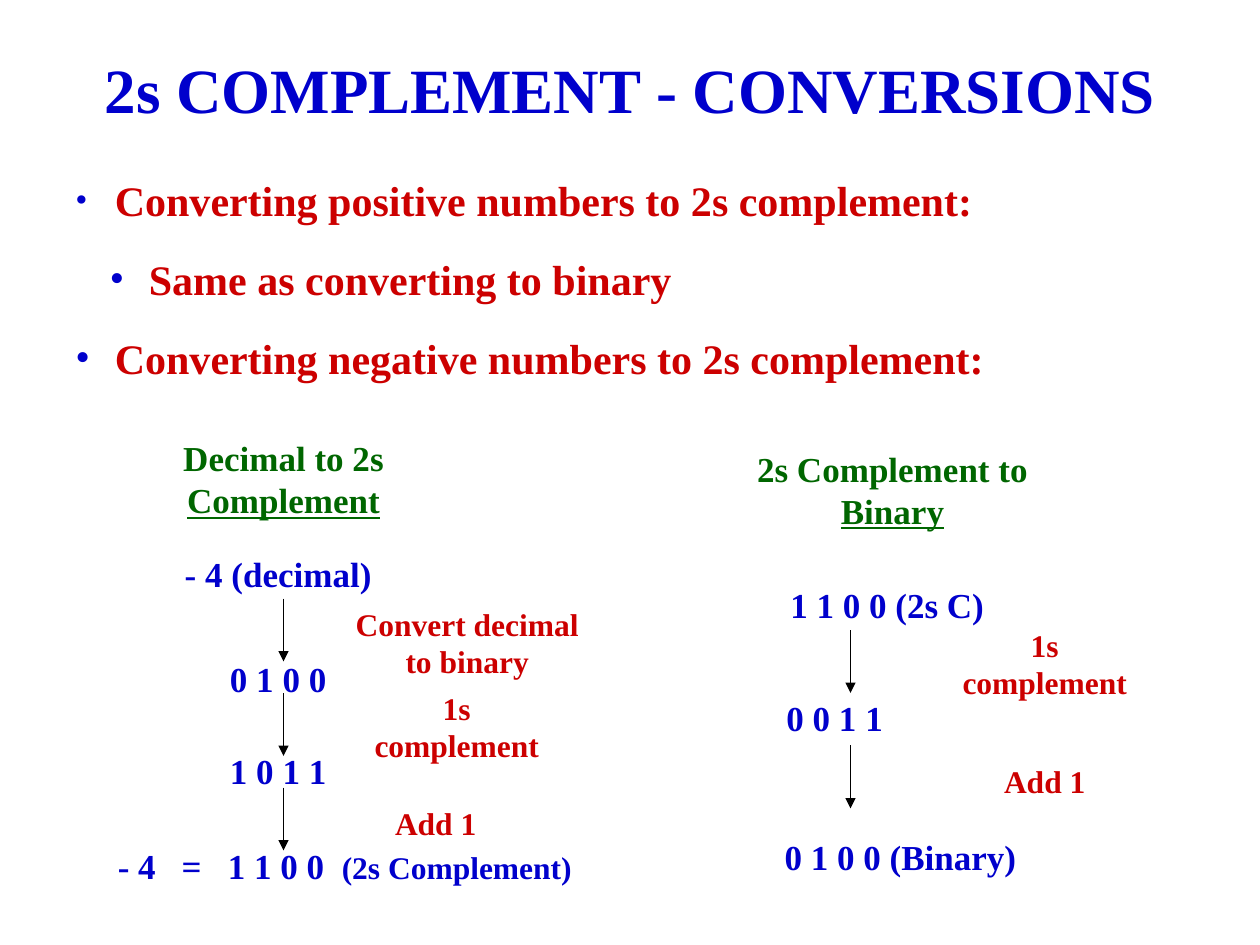
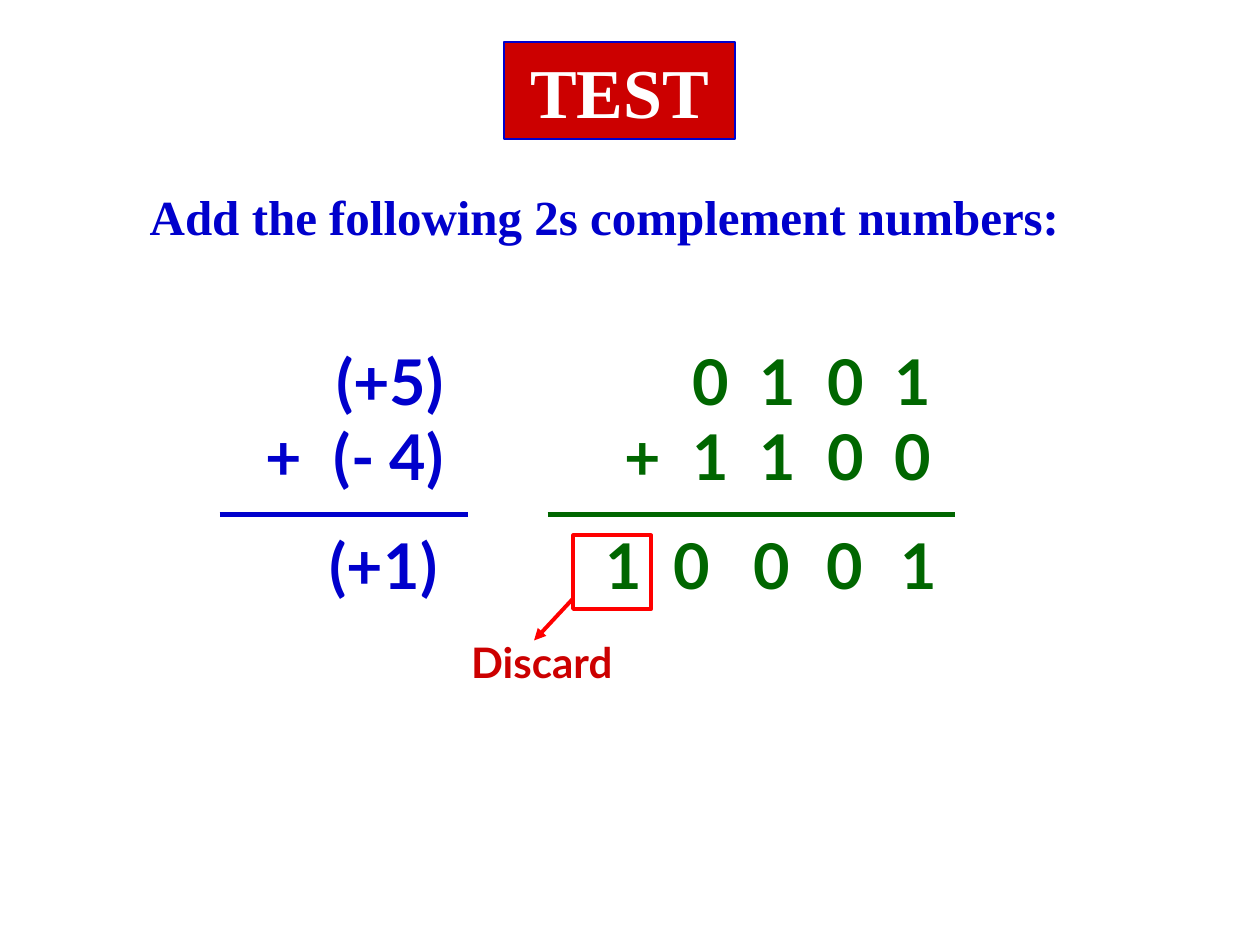
import pptx
import pptx.dml.color
import pptx.enum.shapes
import pptx.enum.text
import pptx.oxml
import pptx.oxml.ns
import pptx.util
from lxml import etree

Pt = pptx.util.Pt
Align = pptx.enum.text.PP_ALIGN
LEFT, MID, RIGHT = Align.LEFT, Align.CENTER, Align.RIGHT

BLUE, RED, GREEN = "0000CC", "CC0000", "006600"
WHITE, BLACK, BRIGHT = "FFFFFF", "000000", "FF0000"
SERIF, SANS = "Times New Roman", "Lato"


def rgb(code):
    return pptx.dml.color.RGBColor.from_string(code)


def child(parent, tag, **attrs):
    """Append a drawing element to parent."""
    node = etree.SubElement(parent, pptx.oxml.ns.qn(tag))
    for key, value in attrs.items():
        node.set(key, str(value))
    return node


class Deck:
    def __init__(self):
        self.file = pptx.Presentation()
        self.file.slide_width = Pt(720)
        self.file.slide_height = Pt(540)
        self.slide = None

    def page(self, title, box, size, color=BLUE):
        """Start a slide and return its formatted title."""
        self.slide = self.file.slides.add_slide(self.file.slide_layouts[5])
        head = self.slide.shapes.title
        head.left, head.top, head.width, head.height = map(Pt, box)
        self.fill(head, [title], size, color, MID, SERIF)
        return head

    def fill(self, shape, lines, size, color, align, font):
        """Write lines; each is a string or a list of (text, changes)."""
        frame = shape.text_frame
        frame.word_wrap = True
        frame.auto_size = pptx.enum.text.MSO_AUTO_SIZE.NONE
        frame.vertical_anchor = pptx.enum.text.MSO_ANCHOR.TOP
        for i, line in enumerate(lines):
            para = frame.add_paragraph() if i else frame.paragraphs[0]
            para.alignment = align
            for text, extra in [(line, {})] if isinstance(line, str) else line:
                run = para.add_run()
                run.text = text
                run.font.name = font
                run.font.size = Pt(extra.get("size", size))
                run.font.bold = True
                run.font.underline = extra.get("under")
                run.font.color.rgb = rgb(color)

    def text(self, box, lines, size=20, color=BLUE, align=MID, font=SERIF):
        shape = self.slide.shapes.add_textbox(*map(Pt, box))
        self.fill(shape, lines, size, color, align, font)
        return shape.text_frame.paragraphs

    def tabs(self, paras, kind, stops):
        for para in paras:
            group = child(para._p.get_or_add_pPr(), "a:tabLst")
            for stop in stops:
                child(group, "a:tab", pos=Pt(stop), algn=kind)

    def bullets(self, box, items, size=24):
        """List (text, level, bullet percent) items."""
        paras = self.text(box, [item[0] for item in items], size, RED, LEFT)
        for para, (_, level, scale) in zip(paras, items):
            para.level = level
            para.space_after = Pt(16.5)
            props = para._p.get_or_add_pPr()
            props.set("marL", str(Pt(22.5 + 19.5 * level)))
            props.set("indent", str(Pt(-22.5)))
            child(child(props, "a:buClr"), "a:srgbClr", val=BLUE)
            child(props, "a:buSzPct", val=scale * 1000)
            child(props, "a:buFont", typeface=SERIF)
            child(props, "a:buChar", char="•")

    def line(self, start, end, color, width, arrow=False):
        link = self.slide.shapes.add_connector(
            pptx.enum.shapes.MSO_CONNECTOR.STRAIGHT, *map(Pt, start + end))
        link.line.color.rgb = rgb(color)
        link.line.width = Pt(width)
        if arrow:
            child(link.line._get_or_add_ln(), "a:tailEnd", type="triangle")
        child(link._element.spPr, "a:effectLst")

    def frame(self, box, color, width):
        shape = self.slide.shapes.add_shape(
            pptx.enum.shapes.MSO_SHAPE.RECTANGLE, *map(Pt, box))
        shape.shadow.inherit = False
        shape.fill.background()
        shape.line.color.rgb = rgb(color)
        shape.line.width = Pt(width)


def convert(deck):
    deck.page("2s COMPLEMENT - CONVERSIONS", (0, 25, 720, 50.4), 36)
    deck.bullets((36, 96, 630, 126.7), [
        ("Converting positive numbers to 2s complement:", 0, 83),
        ("Same as converting to binary", 1, 100),
        ("Converting negative numbers to 2s complement:", 0, 100)])

    under = {"under": True}
    deck.text((60, 246, 204, 55.4),
              [[("Decimal to 2s ", {}), ("Complement", under)]], color=GREEN)
    deck.text((408, 252, 204, 55.4),
              ["2s Complement to", [("Binary", under)]], color=GREEN)

    for x, y, value in [(90, 312, "- 4 (decimal)"), (90, 372, "0 1 0 0"),
                        (90, 425, "1 0 1 1"), (438, 330, "1 1 0 0 (2s C)"),
                        (408, 394.5, "0 0 1 1")]:
        deck.text((x, y, 138, 31.7), [value])
    total = deck.text((60.2, 479, 320, 31.7), [
        [("- 4\t=\t1 1 0 0\t", {}), ("(2s Complement)", {"size": 18})]],
        align=LEFT)
    deck.tabs(total, "l", (36.5, 62.9, 128))
    deck.text((441.2, 474, 207, 31.7), ["0 1 0 0 (Binary)"], align=LEFT)

    for x, y, width, step in [
            (192, 342, 150, ["Convert decimal", "to binary"]),
            (204, 390, 114, ["1s complement"]), (192, 456, 114, ["Add 1"]),
            (540, 354, 114, ["1s complement"]), (540, 432, 114, ["Add 1"])]:
        deck.text((x, y, width, 50.4), step, 18, RED)
    for x, y in [(162, 342), (162, 396), (162, 450), (486, 360), (486, 426)]:
        deck.line((x, y), (x, y + 36), BLACK, 0.75, arrow=True)


def test(deck):
    head = deck.page("TEST", (288, 24, 132, 55.4), 40, WHITE)
    head.fill.solid()
    head.fill.fore_color.rgb = rgb(RED)
    head.line.color.rgb = rgb(BLUE)
    head.line.width = Pt(0.75)
    deck.text((78.5, 103, 560, 41), ["Add the following 2s complement numbers:"],
              28, align=LEFT)

    big = {"size": 36, "font": SANS}
    plain = deck.text((108, 192, 170, 93.6), ["\t\t(+5)", "\t+\t(- 4)"],
                      align=LEFT, **big)
    deck.tabs(plain, "r", (57.5, 138.5))
    binary = deck.text((300, 192, 260, 93.6),
                       ["\t\t0\t1\t0\t1", "\t+\t1\t1\t0\t0"],
                       color=GREEN, align=LEFT, **big)
    deck.tabs(binary, "ctr", [60.5 + 38.5 * i for i in range(5)])
    deck.line((125.5, 294), (267.7, 294), BLUE, 3)
    deck.line((313, 294), (546, 294), GREEN, 3)

    deck.text((147, 297.5, 110, 50.4), ["(+1)"], align=RIGHT, **big)
    for x, digit in zip((339, 378, 423.2, 465, 507.5), "10001"):
        deck.text((x, 297.5, 27, 50.4), [digit], color=GREEN, **big)

    deck.frame((327.5, 306, 44.7, 42), BRIGHT, 2.25)
    deck.line((327.5, 342), (305.2, 366), BRIGHT, 2.25, arrow=True)
    deck.text((234, 360, 123, 36), ["Discard"], 24, RED, RIGHT, SANS)


def main():
    deck = Deck()
    convert(deck)
    test(deck)
    deck.file.save("out.pptx")


if __name__ == "__main__":
    main()
